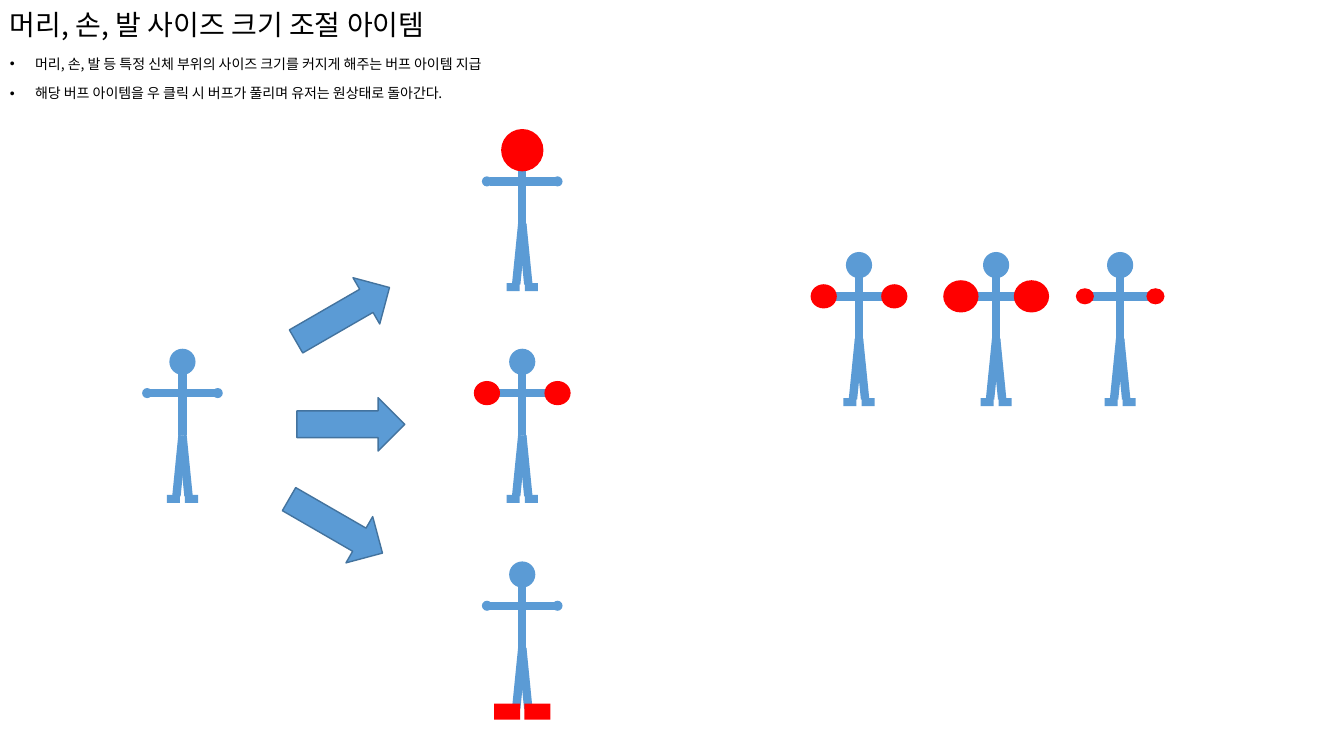
from lxml import etree
from pptx import Presentation
from pptx.dml.color import RGBColor
from pptx.enum.shapes import MSO_CONNECTOR, MSO_SHAPE
from pptx.enum.text import MSO_ANCHOR
from pptx.oxml.ns import qn
from pptx.util import Inches, Pt

BLUE = RGBColor(0x5B, 0x9B, 0xD5)
DARK_BLUE = RGBColor(0x43, 0x73, 0x9E)
RED = RGBColor(0xFF, 0x00, 0x00)
BLACK = RGBColor(0x00, 0x00, 0x00)
ELLIPSE, RECT, ARROW = MSO_SHAPE.OVAL, MSO_SHAPE.RECTANGLE, MSO_SHAPE.RIGHT_ARROW
STRAIGHT = MSO_CONNECTOR.STRAIGHT
MIDDLE, TOP = MSO_ANCHOR.MIDDLE, MSO_ANCHOR.TOP

FONT = "Noto Sans CJK KR"
WIDTH, HEIGHT = 13.33, 7.5
TITLE = "머리, 손, 발 사이즈 크기 조절 아이템"
RULES = [
    "머리, 손, 발 등 특정 신체 부위의 사이즈 크기를 커지게 해주는 버프 아이템 지급",
    "해당 버프 아이템을 우 클릭 시 버프가 풀리며 유저는 원상태로 돌아간다.",
]

HEAD_RISE, HAND_REACH, FOOT_DROP = 0.31, 0.35, 1.05
LIMBS = [
    (0, -0.29, 0, 0.42),
    (0, 0, 0.32, 0),
    (-0.32, 0, 0, 0),
    (0, 0.42, -0.06, 1.02),
    (0, 0.42, 0.06, 1.02),
]
NORMAL = {
    "head": (0.26, 0.26, BLUE),
    "hand": (0.1, 0.1, BLUE),
    "foot": (0.13, 0.08, BLUE),
    "stance": 0.09,
}
BIG_HEAD = {"head": (0.42, 0.42, RED)}
BIG_HANDS = {"hand": (0.26, 0.24, RED)}
HUGE_HANDS = {"hand": (0.35, 0.32, RED)}
SMALL_HANDS = {"hand": (0.18, 0.16, RED)}
BIG_FEET = {"foot": (0.26, 0.16, RED), "stance": 0.15}

FIGURE_GROUPS = [
    [(1.81, 3.9, {})],
    [(5.18, 6.01, BIG_FEET)],
    [(5.18, 3.9, BIG_HANDS)],
    [(5.18, 1.8, BIG_HEAD)],
    [(8.52, 2.94, BIG_HANDS), (9.88, 2.94, HUGE_HANDS), (11.11, 2.94, SMALL_HANDS)],
]
ARROWS = [(3.48, 4.21, 0), (3.4, 3.12, 330), (3.33, 5.22, 30)]


def add_text(slide, lines, top, height, size, anchor, bulleted=False):
    """Write lines in a box that spans the slide."""
    box = slide.shapes.add_textbox(0, Inches(top), Inches(WIDTH), Inches(height))
    frame = box.text_frame
    frame.word_wrap = True
    frame.vertical_anchor = anchor
    for index, line in enumerate(lines):
        paragraph = frame.paragraphs[0] if index == 0 else frame.add_paragraph()
        paragraph.line_spacing = 0.9
        if index:
            paragraph.space_before = Pt(10)
        if bulleted:
            properties = paragraph._p.get_or_add_pPr()
            properties.set("marL", str(Inches(0.25)))
            properties.set("indent", str(-Inches(0.25)))
            etree.SubElement(properties, qn("a:buFont"), typeface="Arial")
            etree.SubElement(properties, qn("a:buChar"), char="•")
        run = paragraph.add_run()
        run.text = line
        for name, value in {"size": Pt(size), "name": FONT}.items():
            setattr(run.font, name, value)
        run.font.color.rgb = BLACK
        etree.SubElement(run._r.get_or_add_rPr(), qn("a:ea"), typeface=FONT)


def add_centred(shapes, kind, x, y, width, height, color):
    """Add a filled, unlined shape around a centre point."""
    shape = shapes.add_shape(
        kind, Inches(x - width / 2), Inches(y - height / 2), Inches(width), Inches(height)
    )
    shape.shadow.inherit = False
    shape.fill.solid()
    shape.fill.fore_color.rgb = color
    shape.line.fill.background()
    return shape


def add_limb(shapes, x1, y1, x2, y2):
    """Draw one thick line of a figure."""
    limb = shapes.add_connector(STRAIGHT, Inches(x1), Inches(y1), Inches(x2), Inches(y2))
    limb.line.color.rgb = BLUE
    limb.line.width = Pt(6)
    etree.SubElement(limb._element.spPr, qn("a:effectLst"))


def add_figure(shapes, x, shoulder, changes):
    """Draw a stick figure whose changed body parts stand out."""
    body = {**NORMAL, **changes}
    for x1, y1, x2, y2 in LIMBS:
        add_limb(shapes, x + x1, shoulder + y1, x + x2, shoulder + y2)
    for side in (1, -1):
        add_centred(shapes, ELLIPSE, x + side * HAND_REACH, shoulder, *body["hand"])
        add_centred(
            shapes, RECT, x + side * body["stance"], shoulder + FOOT_DROP, *body["foot"]
        )
    add_centred(shapes, ELLIPSE, x, shoulder - HEAD_RISE, *body["head"])


def add_arrow(shapes, x, y, angle):
    """Add an outlined block arrow turned by an angle."""
    arrow = add_centred(shapes, ARROW, x, y, 1.07, 0.53, BLUE)
    arrow.rotation = angle
    arrow.line.color.rgb = DARK_BLUE
    arrow.line.width = Pt(1)


def main():
    """Build the slide and save it."""
    deck = Presentation()
    deck.slide_width, deck.slide_height = Inches(WIDTH), Inches(HEIGHT)
    slide = deck.slides.add_slide(deck.slide_layouts[6])
    add_text(slide, [TITLE], 0, 0.52, 20, MIDDLE)
    add_text(slide, RULES, 0.52, 0.62, 10, TOP, bulleted=True)
    for figures in FIGURE_GROUPS:
        group = slide.shapes.add_group_shape()
        for x, shoulder, changes in figures:
            add_figure(group.shapes, x, shoulder, changes)
    for x, y, angle in ARROWS:
        add_arrow(slide.shapes, x, y, angle)
    deck.save("out.pptx")


if __name__ == "__main__":
    main()
